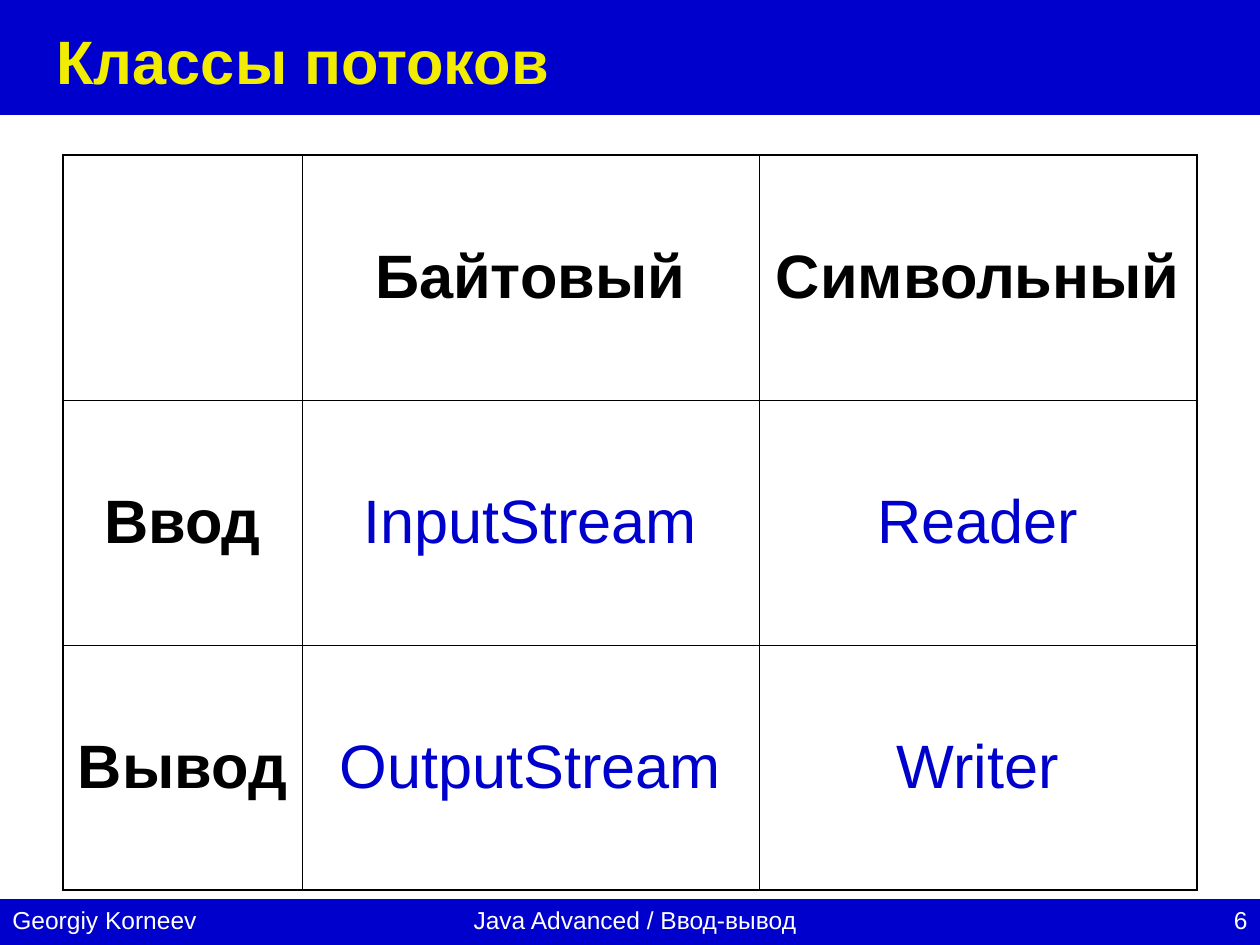
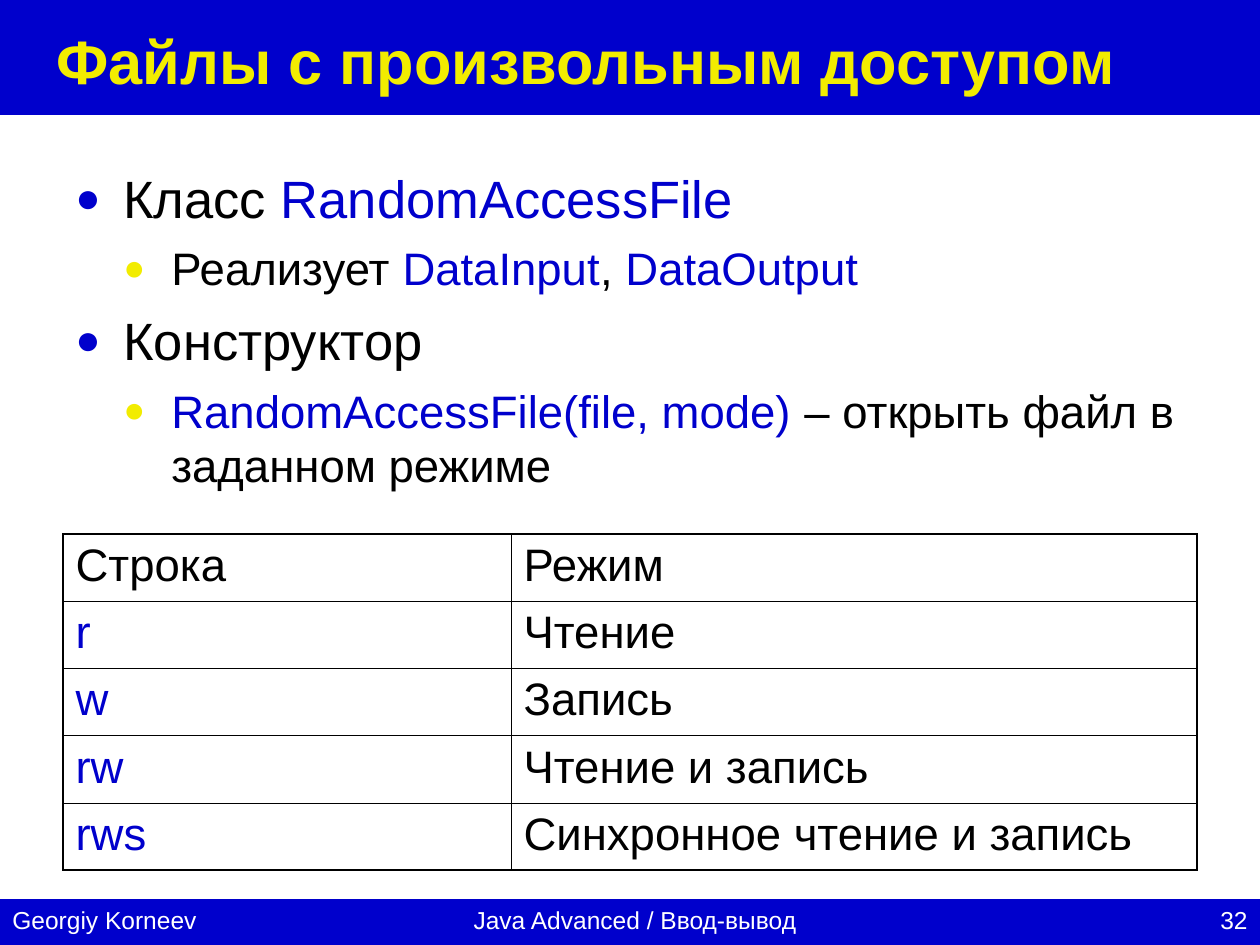
from lxml import etree
from pptx import Presentation
from pptx.dml.color import RGBColor
from pptx.enum.shapes import MSO_SHAPE
from pptx.enum.text import MSO_ANCHOR, MSO_AUTO_SIZE, PP_ALIGN
from pptx.oxml.ns import qn
from pptx.util import Emu, Pt

RECTANGLE = MSO_SHAPE.RECTANGLE
TOP, MIDDLE = MSO_ANCHOR.TOP, MSO_ANCHOR.MIDDLE
NO_AUTOFIT = MSO_AUTO_SIZE.NONE
LEFT, CENTER, RIGHT = PP_ALIGN.LEFT, PP_ALIGN.CENTER, PP_ALIGN.RIGHT

BLUE = RGBColor(0x00, 0x00, 0xCC)
YELLOW = RGBColor(0xF2, 0xEC, 0x00)
BLACK = RGBColor(0x00, 0x00, 0x00)
WHITE = RGBColor(0xFF, 0xFF, 0xFF)

FONT = "Arial"
PX_PER_INCH = 126
SLIDE_WIDTH, SLIDE_HEIGHT = 1260, 945
HEADER_HEIGHT = 115
FOOTER_TOP, FOOTER_HEIGHT = 899, 46
CONTENT_LEFT, CONTENT_WIDTH = 63, 1134
CONTENT_TOP = 155
BULLET_INDENT = 48
OUTER_BORDER, INNER_BORDER = Pt(1.08), Pt(0.45)

AUTHOR = "Georgiy Korneev"
COURSE = "Java Advanced / Ввод-вывод"

STREAM_CLASSES = [
    ["", "Байтовый", "Символьный"],
    ["Ввод", "InputStream", "Reader"],
    ["Вывод", "OutputStream", "Writer"],
]
FILE_MODES = [
    ["Строка", "Режим"],
    ["r", "Чтение"],
    ["w", "Запись"],
    ["rw", "Чтение и запись"],
    ["rws", "Синхронное чтение и запись"],
]
RANDOM_ACCESS = [
    (0, [("Класс ", BLACK), ("RandomAccessFile", BLUE)]),
    (1, [("Реализует ", BLACK), ("DataInput", BLUE), (", ", BLACK),
         ("DataOutput", BLUE)]),
    (0, [("Конструктор", BLACK)]),
    (1, [("RandomAccessFile(file, mode) ", BLUE),
         ("– открыть файл в заданном режиме", BLACK)]),
]
LEVEL_STYLES = [(30, 7.5, BLUE), (26, 6.5, YELLOW)]


def px(length):
    """Turn pixels into EMU."""
    return Emu(round(length * 914400 / PX_PER_INCH))


def style_font(font, size, color, bold=False):
    """Apply the deck's typeface with a size, colour and weight."""
    font.name = FONT
    font.size = Pt(size)
    font.bold = bold
    font.color.rgb = color


def add_band(slide, top, height):
    """Add a blue band across the whole slide."""
    band = slide.shapes.add_shape(
        RECTANGLE, 0, px(top), px(SLIDE_WIDTH), px(height))
    band.shadow.inherit = False
    band.fill.solid()
    band.fill.fore_color.rgb = BLUE
    band.line.fill.background()


def add_footer_text(slide, left, width, text, align):
    """Add one white label on the footer band."""
    label = slide.shapes.add_textbox(
        px(left), px(FOOTER_TOP), px(width), px(FOOTER_HEIGHT))
    label.text_frame.word_wrap = True
    label.text_frame.text = text
    line = label.text_frame.paragraphs[0]
    line.alignment = align
    style_font(line.runs[0].font, 14, WHITE)


def add_titled_slide(deck, heading, number):
    """Add a slide with bands, footer labels and a yellow title."""
    slide = deck.slides.add_slide(deck.slide_layouts[5])
    add_band(slide, 0, HEADER_HEIGHT)
    add_band(slide, FOOTER_TOP, FOOTER_HEIGHT)
    add_footer_text(slide, 1147, 113, str(number), RIGHT)
    add_footer_text(slide, 0, 507, AUTHOR, LEFT)
    add_footer_text(slide, 64, 1142, COURSE, CENTER)

    title = slide.shapes.title
    title.element.getparent().append(title.element)
    title.left, title.top = px(44), px(16)
    title.width, title.height = px(1216), px(88)
    frame = title.text_frame
    frame.text = heading
    frame.auto_size = NO_AUTOFIT
    frame.vertical_anchor = MIDDLE
    frame.paragraphs[0].alignment = LEFT
    style_font(frame.paragraphs[0].runs[0].font, 35, YELLOW, True)
    return slide


def add_bullet(paragraph, level, color):
    """Give a paragraph a round bullet and a hanging indent."""
    properties = paragraph._p.get_or_add_pPr()
    properties.set("marL", str(px(BULLET_INDENT * (level + 1))))
    properties.set("indent", str(-px(BULLET_INDENT)))
    bullet_color = etree.SubElement(properties, qn("a:buClr"))
    etree.SubElement(bullet_color, qn("a:srgbClr"), val=str(color))
    etree.SubElement(properties, qn("a:buSzPct"), val="80000")
    etree.SubElement(properties, qn("a:buFont"), typeface=FONT)
    etree.SubElement(properties, qn("a:buChar"), char="●")


def add_bullet_list(slide, top, height, items):
    """Add a two-level list whose items are coloured pieces of text."""
    body = slide.shapes.add_textbox(
        px(CONTENT_LEFT), px(top), px(CONTENT_WIDTH), px(height))
    frame = body.text_frame
    frame.word_wrap = True
    for index, (level, pieces) in enumerate(items):
        size, gap, bullet_color = LEVEL_STYLES[level]
        item = frame.add_paragraph() if index else frame.paragraphs[0]
        item.level = level
        add_bullet(item, level, bullet_color)
        if index:
            item.space_before = Pt(gap)
        for text, color in pieces:
            piece = item.add_run()
            piece.text = text
            style_font(piece.font, size, color)


def set_border(cell, side, width):
    """Draw a black line on one side of a cell."""
    border = etree.SubElement(
        cell._tc.get_or_add_tcPr(), qn(f"a:ln{side}"), w=str(width))
    fill = etree.SubElement(border, qn("a:solidFill"))
    etree.SubElement(fill, qn("a:srgbClr"), val=str(BLACK))


def add_grid(slide, top, column_widths, row_height, rows, size, align, anchor,
             text_style):
    """Add a ruled table; text_style(row, column) gives colour and weight."""
    last_row, last_column = len(rows) - 1, len(column_widths) - 1
    grid = slide.shapes.add_table(
        len(rows), len(column_widths), px(CONTENT_LEFT), px(top),
        px(CONTENT_WIDTH), px(row_height * len(rows))).table
    grid.first_row = grid.horz_banding = False
    for column, width in zip(grid.columns, column_widths):
        column.width = px(width)
    for r, texts in enumerate(rows):
        grid.rows[r].height = px(row_height)
        for c, text in enumerate(texts):
            cell = grid.cell(r, c)
            outer_sides = {"L": c == 0, "R": c == last_column,
                           "T": r == 0, "B": r == last_row}
            for side, is_outer in outer_sides.items():
                set_border(cell, side,
                           OUTER_BORDER if is_outer else INNER_BORDER)
            cell.fill.background()
            cell.vertical_anchor = anchor
            cell.text_frame.text = text
            line = cell.text_frame.paragraphs[0]
            line.alignment = align
            for run in line.runs:
                style_font(run.font, size, *text_style(r, c))


def stream_style(row, column):
    """Show headings bold black and class names blue."""
    return (BLUE, False) if row and column else (BLACK, True)


def mode_style(row, column):
    """Show mode strings blue and everything else black."""
    return (BLUE if row and column == 0 else BLACK), False


def main():
    """Build both slides and save the deck."""
    deck = Presentation()
    deck.slide_width, deck.slide_height = px(SLIDE_WIDTH), px(SLIDE_HEIGHT)

    streams = add_titled_slide(deck, "Классы потоков", 6)
    add_grid(streams, CONTENT_TOP, [239, 457, 438], 245, STREAM_CLASSES,
             35, CENTER, MIDDLE, stream_style)

    files = add_titled_slide(deck, "Файлы c произвольным доступом", 32)
    add_bullet_list(files, CONTENT_TOP + 5, 343, RANDOM_ACCESS)
    add_grid(files, 534, [448, 686], 67, FILE_MODES,
             26, LEFT, TOP, mode_style)

    deck.save("out.pptx")


if __name__ == "__main__":
    main()
